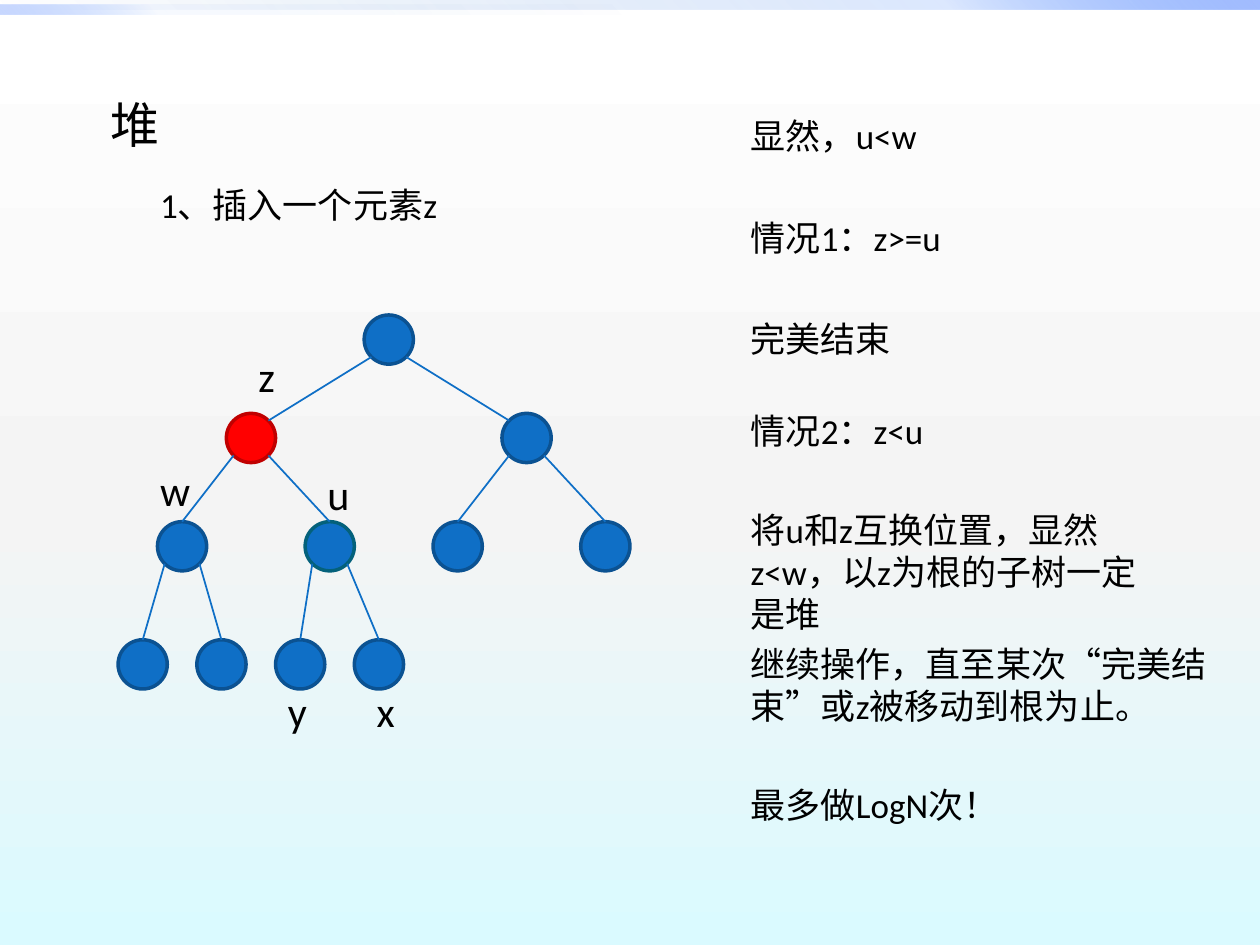
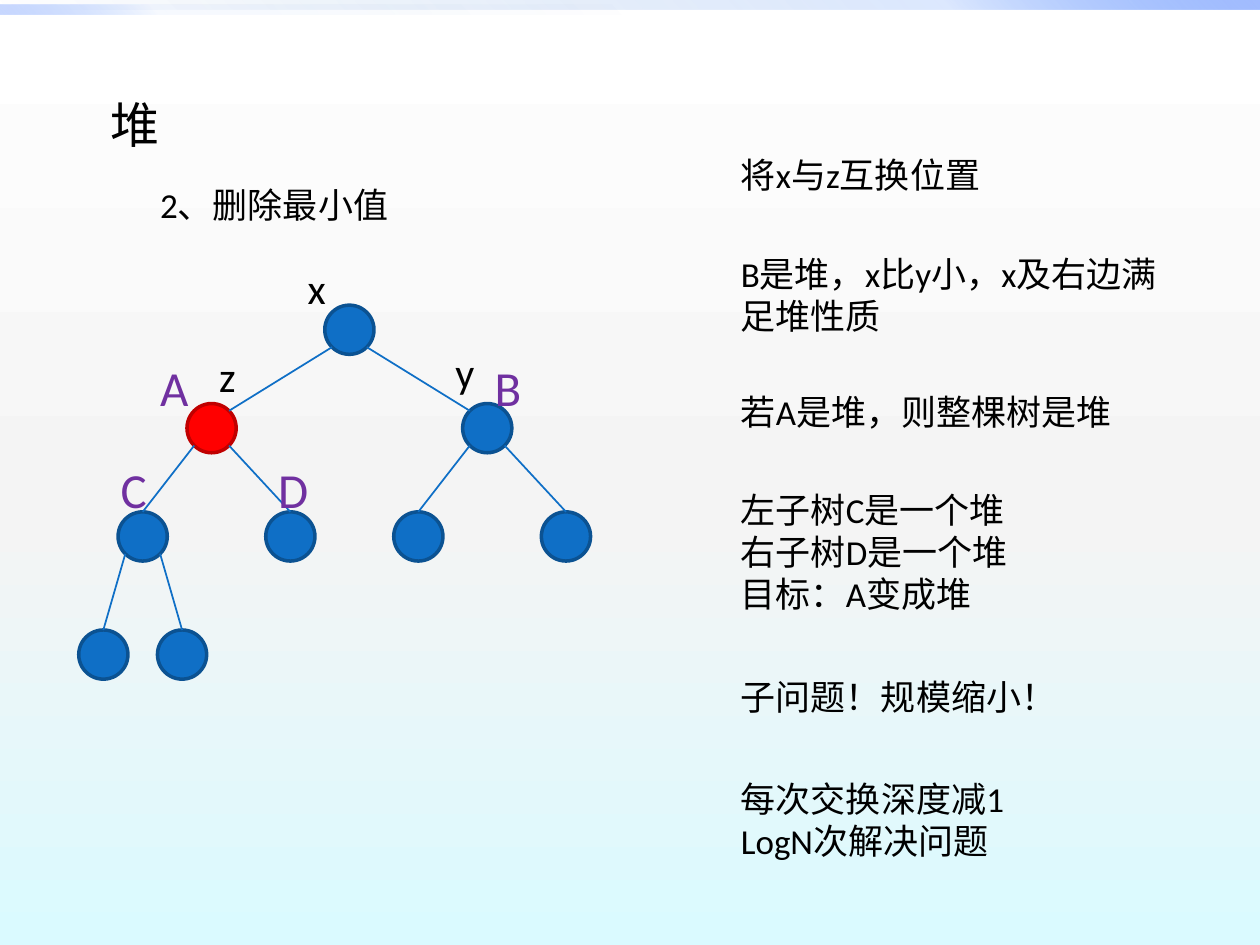
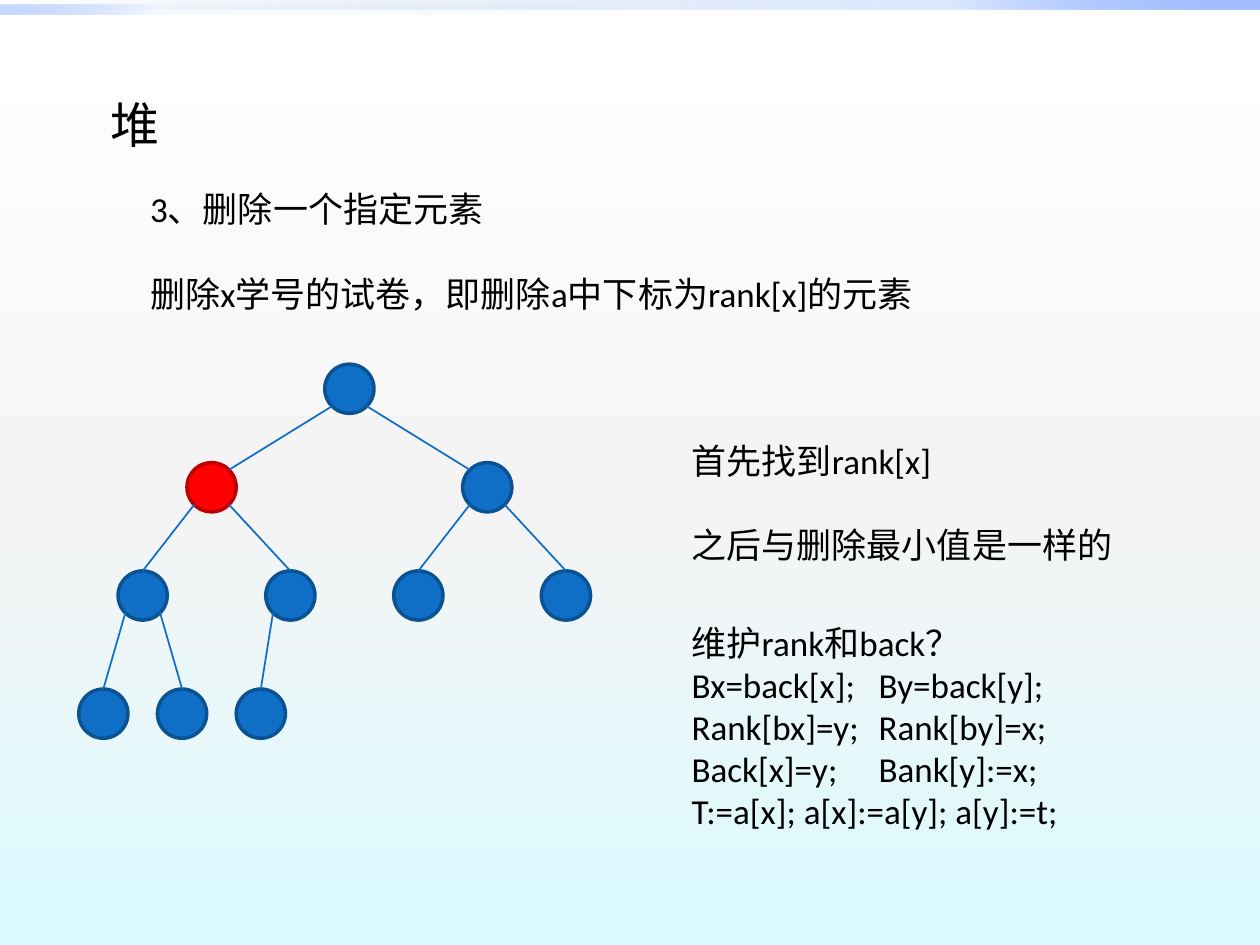
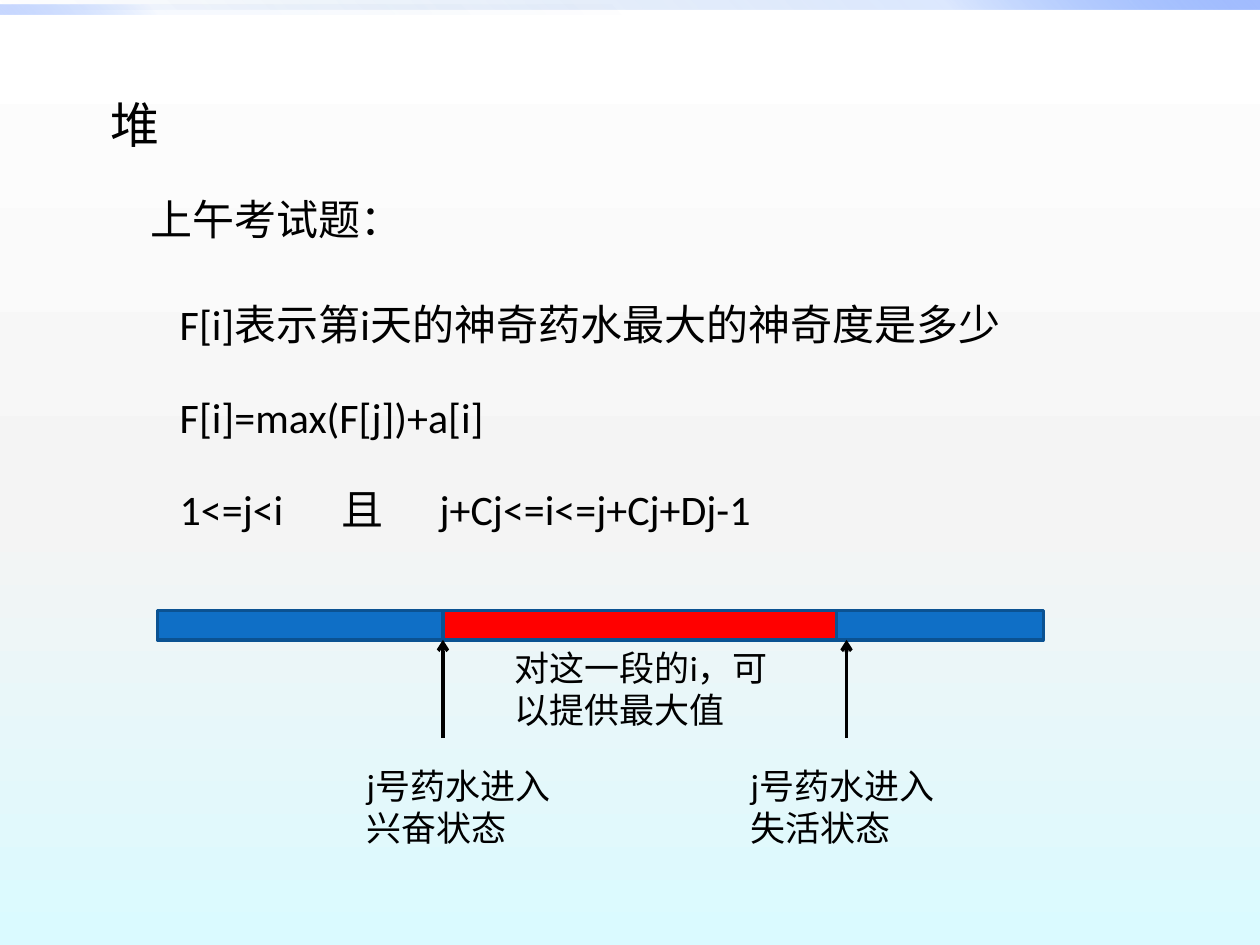
from dataclasses import dataclass
from math import sqrt

from lxml.etree import SubElement
from pptx import Presentation
from pptx.dml.color import RGBColor
from pptx.enum.shapes import MSO_CONNECTOR as Link, MSO_SHAPE as Preset
from pptx.enum.text import MSO_AUTO_SIZE as AutoSize
from pptx.oxml.ns import qn
from pptx.util import Inches, Pt


@dataclass(frozen=True)
class Theme:
    font: str = "Calibri"
    title: int = 28
    label: int = 24
    body: int = 20
    ink: str = "000000"
    blue: str = "0F6FC6"
    blue_edge: str = "0B5292"
    teal_edge: str = "04617B"
    red: str = "FF0000"
    red_edge: str = "C00000"
    purple: str = "7030A0"


THEME = Theme()
WIDTH, HEIGHT = 10, 7.5
COLUMNS = 128  # square grid cells across the slide; all places count in cells

# Shared look: gradient stops are (percent, colour, opacity percent)
BACKGROUND = [(0, "FFFFFF", 100), (55, "F4F4F4", 100), (100, "DAFAFF", 100)]
BANDS = [
    ((0, 0, 128, 1), [(0, "00539E", 0), (75, "538CFF", 20), (100, "A3BDFF", 100)], 315),
    ((0, 0.5, 64, 1), [(0, "00539E", 0), (75, "538CFF", 5), (100, "A3BDFF", 60)], 135),
]
TITLE = ("堆", 10, 9, 23)

# Heap shape: column of each node from the root, in heap order; row of each depth
NODE_COLUMNS = [0, -14, 14, -21, -6, 7, 22, -25, -17, -9, -1]
DEPTH_ROWS = [0, 10, 21, 33]
NODE_SIZE = 5
MARKED_NODE = 2

# Text entries: text, column, row, width, then format where it differs
HEAPS = [
    {
        "root": (37, 32), "count": 11, "teal_node": 5,
        "labels": [("x", 37, 69, 5), ("y", 28, 69, 5), ("u", 32, 47, 7),
                   ("z", 25, 35, 5), ("w", 15, 46.6, 5)],
        "subtrees": [],
        "notes": [
            ("1、插入一个元素z", 15, 18, 45),
            ("显然，u<w", 75, 11, 45),
            ("情况1：z>=u", 75, 21.4, 39),
            ("完美结束", 75, 31.6, 39),
            ("情况2：z<u", 75, 41, 39),
            ("将u和z互换位置，显然z<w，以z为根的子树一定是堆", 75, 51, 45, {"lines": 2}),
            ("继续操作，直至某次“完美结束”或z被移动到根为止。", 75, 64.6, 50, {"lines": 2}),
            ("最多做LogN次！", 75, 79, 28),
        ],
    },
    {
        "root": (33, 31), "count": 9,
        "labels": [("x", 30, 26, 8), ("z", 21, 35, 5), ("y", 45, 34.6, 5)],
        "subtrees": [("A", 15, 35.7, 6), ("B", 49, 35.7, 6),
                     ("C", 11, 46, 6), ("D", 27, 46, 6)],
        "notes": [
            ("2、删除最小值", 15, 18, 56),
            ("将x与z互换位置", 74, 15, 51),
            ("B是堆，x比y小，x及右边满足堆性质", 74, 25, 45, {"lines": 2}),
            ("若A是堆，则整棵树是堆", 74, 39, 48),
            ("左子树C是一个堆\n右子树D是一个堆\n目标：A变成堆", 74, 49, 41, {"lines": 3}),
            ("子问题！规模缩小！", 74, 68, 32),
            ("每次交换深度减1\nLogN次解决问题", 74, 78.3, 38, {"lines": 2}),
        ],
    },
    {
        "root": (33, 37), "count": 10,
        "labels": [], "subtrees": [],
        "notes": [
            ("3、删除一个指定元素", 14, 18.4, 69),
            ("删除x学号的试卷，即删除a中下标为rank[x]的元素", 14, 27, 82),
            ("首先找到rank[x]\n之后与删除最小值是一样的", 69, 44, 52,
             {"lines": 3, "gap": 24}),
            ("维护rank和back？\nBx=back[x];\tBy=back[y];\nRank[bx]=y;\tRank[by]=x;\n"
             "Back[x]=y;\tBank[y]:=x;\nT:=a[x]; a[x]:=a[y]; a[y]:=t;", 69, 62.5, 46.3,
             {"lines": 7, "tabs": [19]}),
        ],
    },
]

EXAM_TEXTS = [
    ("上午考试题：", 14, 19, 86, {"size": THEME.label}),
    ("F[i]表示第i天的神奇药水最大的神奇度是多少\nF[i]=max(F[j])+a[i]\n"
     "1<=j<i\t且\tj+Cj<=i<=j+Cj+Dj-1", 17, 29.7, 94,
     {"size": THEME.label, "lines": 4.8, "gap": 24, "tabs": [16.4, 26.4]}),
    ("j号药水进入兴奋状态", 36, 77, 22, {"lines": 2}),
    ("j号药水进入失活状态", 75, 77, 22, {"lines": 2}),
    ("对这一段的i，可以提供最大值", 51, 65, 29, {"lines": 2}),
]
TIMELINE = [(16, 90, THEME.blue), (45, 40, THEME.red)]  # column, width, fill
TIMELINE_ROW, TIMELINE_HEIGHT = 62, 3
ARROW_COLUMNS, ARROW_ROWS = (45, 86), (75, 65)


def cells(count):
    return Inches(WIDTH * count / COLUMNS)


def color(value):
    return RGBColor.from_string(value)


def add_text(page, text, column, row, width, *, size=THEME.body, ink=THEME.ink,
             lines=1, gap=0, tabs=()):
    height = Inches(0.1) + Pt(size * 1.2 * lines)
    box = page.shapes.add_textbox(cells(column), cells(row), cells(width), height)
    frame = box.text_frame
    frame.word_wrap = True
    frame.auto_size = AutoSize.SHAPE_TO_FIT_TEXT
    frame.text = text
    for number, para in enumerate(frame.paragraphs):
        if gap and number:
            para.space_before = Pt(gap)
        for span in para.runs:
            span.font.name = THEME.font
            span.font.size = Pt(size)
            span.font.color.rgb = color(ink)
        if "\t" in para.text:
            stops = SubElement(para._p.get_or_add_pPr(), qn("a:tabLst"))
            for tab in tabs:
                SubElement(stops, qn("a:tab"), pos=str(cells(tab)), algn="l")


def add_shape(page, preset, column, row, width, height, fill, edge=None):
    shape = page.shapes.add_shape(preset, cells(column), cells(row),
                                  cells(width), cells(height))
    shape.shadow.inherit = False
    shape.fill.solid()
    shape.fill.fore_color.rgb = color(fill)
    if edge:
        shape.line.color.rgb = color(edge)
        shape.line.width = Pt(2)
    else:
        shape.line.fill.background()
    return shape


def add_line(page, start, end, ink, width, arrow=False):
    line = page.shapes.add_connector(Link.STRAIGHT, *map(cells, (*start, *end)))
    line.line.color.rgb = color(ink)
    line.line.width = Pt(width)
    if arrow:
        SubElement(line.line._get_or_add_ln(), qn("a:tailEnd"), type="arrow")
    SubElement(line.element.spPr, qn("a:effectLst"))
    return line


def set_gradient(holder, stops, angle):
    """Turn the solid fill directly under holder into a linear gradient."""
    fill = holder.find(qn("a:solidFill"))
    fill.clear()
    fill.tag = qn("a:gradFill")
    fill.set("rotWithShape", "1")
    stop_list = SubElement(fill, qn("a:gsLst"))
    for percent, value, opacity in stops:
        stop = SubElement(stop_list, qn("a:gs"), pos=str(percent * 1000))
        tint = SubElement(stop, qn("a:srgbClr"), val=value)
        if opacity < 100:
            SubElement(tint, qn("a:alpha"), val=str(opacity * 1000))
    SubElement(fill, qn("a:lin"), ang=str(angle * 60000), scaled="0")


def dress_master(deck, page):
    """Give the master the background and the bands, drawn first on page."""
    master = deck.slide_master
    master.background.fill.solid()
    set_gradient(next(master.element.iter(qn("p:bgPr"))), BACKGROUND, 90)
    for number, (place, stops, angle) in enumerate(BANDS):
        band = add_shape(page, Preset.RECTANGLE, *place, THEME.blue)
        set_gradient(band.element.spPr, stops, angle)
        band.element.nvSpPr.cNvPr.set("id", str(20 + number))
        master.shapes.element.insert(2 + number, band.element)


def add_page(deck):
    page = deck.slides.add_slide(deck.slide_layouts[6])
    if len(deck.slides) == 1:
        dress_master(deck, page)
    add_text(page, *TITLE, size=THEME.title)
    return page


def add_texts(page, entries, **style):
    for text, column, row, width, *extra in entries:
        add_text(page, text, column, row, width, **style, **(extra[0] if extra else {}))


def add_heap(page, root, count, teal_node=None):
    """Draw nodes 1..count; the children of node n are 2n and 2n + 1."""
    radius = NODE_SIZE / 2
    diagonal = radius / sqrt(2)
    nodes, centers = {}, {}
    for number in range(1, count + 1):
        column = root[0] + NODE_COLUMNS[number - 1]
        row = root[1] + DEPTH_ROWS[number.bit_length() - 1]
        fill, edge = THEME.blue, THEME.blue_edge
        if number == MARKED_NODE:
            fill, edge = THEME.red, THEME.red_edge
        elif number == teal_node:
            edge = THEME.teal_edge
        nodes[number] = add_shape(page, Preset.OVAL, column, row,
                                  NODE_SIZE, NODE_SIZE, fill, edge)
        centers[number] = (column + radius, row + radius)

    for child in range(2, count + 1):
        side = 1 if child % 2 else -1
        parent_x, parent_y = centers[child // 2]
        x, y = centers[child]
        start = (parent_x + side * diagonal, parent_y + diagonal)
        end = (x - side * diagonal, y - diagonal)
        edge = add_line(page, start, end, THEME.blue, 1)
        if child > 3:  # lower levels meet the child at its top
            edge.end_connect(nodes[child], 0)


def add_heap_page(deck, heap):
    page = add_page(deck)
    add_heap(page, heap["root"], heap["count"], heap.get("teal_node"))
    add_texts(page, heap["labels"], size=THEME.label)
    add_texts(page, heap["notes"])
    add_texts(page, heap["subtrees"], size=THEME.title, ink=THEME.purple)


def add_exam_page(deck):
    page = add_page(deck)
    for column, width, fill in TIMELINE:
        add_shape(page, Preset.RECTANGLE, column, TIMELINE_ROW, width,
                  TIMELINE_HEIGHT, fill, THEME.blue_edge)
    for column in ARROW_COLUMNS:
        start, end = ((column, row) for row in ARROW_ROWS)
        add_line(page, start, end, THEME.ink, 2, arrow=True)
    add_texts(page, EXAM_TEXTS)


def main():
    deck = Presentation()
    deck.slide_width, deck.slide_height = Inches(WIDTH), Inches(HEIGHT)
    for heap in HEAPS:
        add_heap_page(deck, heap)
    add_exam_page(deck)
    deck.save("out.pptx")


if __name__ == "__main__":
    main()
